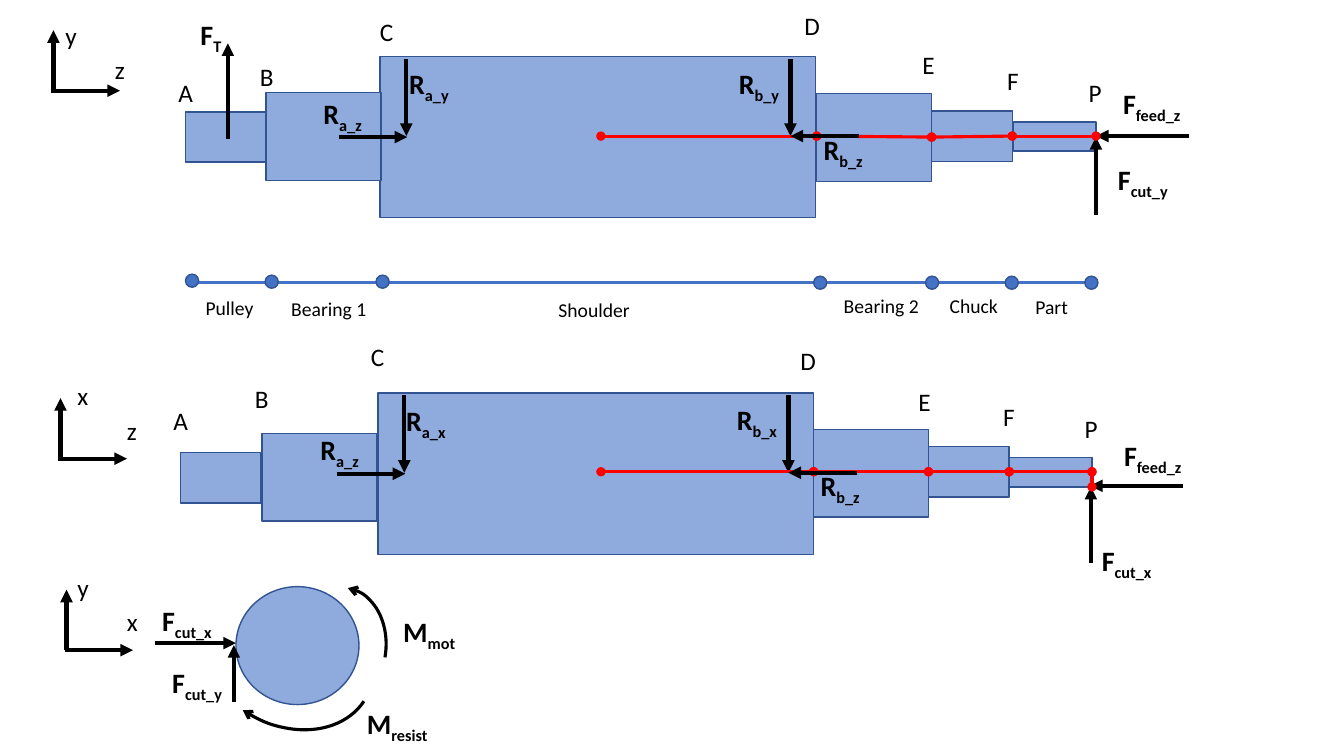
from lxml.etree import SubElement
from pptx import Presentation
from pptx.dml.color import RGBColor
from pptx.enum.shapes import MSO_CONNECTOR, MSO_SHAPE
from pptx.oxml.ns import qn
from pptx.util import Inches, Pt

STEEL = RGBColor(0x8F, 0xAA, 0xDC)
EDGE = RGBColor(0x32, 0x54, 0x91)
BLUE = RGBColor(0x44, 0x72, 0xC4)
RED = RGBColor(0xFF, 0, 0)
BLACK = RGBColor(0, 0, 0)

SECTION_SIZES = [(4.32, 1.6), (1.14, 0.87), (1.14, 0.87), (0.8, 0.5), (0.8, 0.5), (0.82, 0.29)]
LETTER_WIDTHS = {"D": 0.36, "E": 0.32, "F": 0.32, "P": 0.33, "x": 0.31, "y": 0.32, "z": 0.3}

VIEWS = [
    {
        "sections": [(3.77, 0.56), (2.64, 0.92), (8.1, 0.93), (1.84, 1.11), (9.24, 1.1), (10.05, 1.21)],
        "stations": [("A", 1.67, 0.72), ("B", 2.48, 0.56), ("C", 3.67, 0.11), ("D", 7.88, 0.05),
                     ("E", 9.05, 0.44), ("F", 9.89, 0.6), ("P", 10.7, 0.72)],
        "forces": [(3.36, 1.36, 4.04, 1.36), (2.26, 1.38, 2.26, 0.43), (11.79, 1.35, 10.87, 1.35),
                   (10.87, 2.13, 10.87, 1.36), (4.03, 0.59, 4.03, 1.35), (7.84, 0.59, 7.84, 1.35)],
        "flow": [(5.96, 1.35), (8.1, 1.35), (9.24, 1.36), (10.04, 1.35), (10.87, 1.35)],
        "thrust": (8.52, 1.35, 7.84, 1.35),
    },
    {
        "sections": [(3.75, 3.9), (2.6, 4.3), (8.07, 4.26), (1.79, 4.49), (9.21, 4.43), (10.01, 4.54)],
        "stations": [("A", 1.62, 3.97), ("B", 2.43, 3.75), ("C", 3.58, 3.34), ("D", 7.84, 3.38),
                     ("E", 9.01, 3.78), ("F", 9.85, 3.93), ("P", 10.66, 4.05)],
        "forces": [(3.34, 4.7, 4.02, 4.7), (11.73, 4.82, 10.81, 4.82), (10.82, 5.59, 10.82, 4.83),
                   (4.01, 3.92, 4.01, 4.69), (7.82, 3.92, 7.82, 4.69)],
        "flow": [(5.96, 4.68), (8.07, 4.68), (9.21, 4.68), (10.01, 4.68), (10.83, 4.68), (10.83, 4.83)],
        "thrust": (8.5, 4.69, 7.82, 4.69),
    },
]

FORCE_NAMES = [
    ("R", "b_y", 7.23, 0.61), ("F", "T", 1.89, 0.12), ("R", "a_y", 3.96, 0.61),
    ("R", "a_z", 3.11, 0.91), ("R", "b_z", 8.07, 1.27), ("F", "feed_z", 11.04, 0.81),
    ("F", "cut_y", 10.99, 1.56), ("R", "b_x", 7.21, 3.94), ("R", "a_x", 3.93, 3.95),
    ("R", "a_z", 3.08, 4.24), ("R", "b_z", 8.04, 4.6), ("F", "feed_z", 11.05, 4.3),
    ("F", "cut_x", 10.83, 5.34), ("F", "cut_x", 1.51, 5.94), ("F", "cut_y", 1.61, 6.55),
    ("M", "mot", 3.9, 6.05), ("M", "resist", 3.54, 6.96),
]

SCALE_LINE = (1.86, 2.8, 10.88, 2.8)
SCALE_DOTS = [(1.84, 2.72), (2.63, 2.73), (3.73, 2.73), (8.07, 2.74), (9.18, 2.74), (9.97, 2.74), (10.76, 2.74)]
PART_NAMES = [("Pulley", 1.94, 2.89, 0.74), ("Bearing 1", 2.79, 2.9, 1.03), ("Shoulder", 5.44, 2.91, 1.03),
              ("Bearing 2", 8.27, 2.87, 1.03), ("Chuck", 9.32, 2.87, 0.69), ("Part", 10.17, 2.88, 0.69)]

AXES = [
    ((0.53, 0.9), ("y", 0.55, 0.15), ("z", 1.04, 0.49)),
    ((0.6, 4.55), ("x", 0.67, 3.72), ("z", 1.16, 4.07)),
    ((0.66, 6.45), ("y", 0.67, 5.63), ("x", 1.16, 5.97)),
]

END_VIEW = (2.34, 5.82, 1.22, 1.17)
END_FORCES = [(2.32, 6.96, 2.32, 6.4), (1.54, 6.38, 2.34, 6.38)]
MOMENTS = [((2.08, 5.48, 1.48, 1.9), 303.7, ("flipH", "flipV")),
           ((2.73, 5.96, 1.23, 0.96), 279.8, ("flipV",))]

prs = Presentation()
prs.slide_width, prs.slide_height = Inches(13.33), Inches(7.5)
slide = prs.slides.add_slide(prs.slide_layouts[6])


def add_solid(kind, box, fill):
    solid = slide.shapes.add_shape(kind, *map(Inches, box))
    solid.shadow.inherit = False
    solid.fill.solid()
    solid.fill.fore_color.rgb = fill
    solid.line.color.rgb = EDGE
    solid.line.width = Pt(1)


def style_stroke(stroke, color, width, **ends):
    stroke.line.color.rgb = color
    stroke.line.width = Pt(width)
    for end, kind in ends.items():
        SubElement(stroke.line._get_or_add_ln(), qn(f"a:{end}"), type=kind)


def add_line(points, color=BLACK, width=3, **ends):
    line = slide.shapes.add_connector(MSO_CONNECTOR.STRAIGHT, *map(Inches, points))
    style_stroke(line, color, width, **ends)
    SubElement(line._element.spPr, qn("a:effectLst"))


def add_arrow(points):
    add_line(points, tailEnd="triangle")


def add_label(text, box, size, subscript=None, wrap=True):
    frame = slide.shapes.add_textbox(*map(Inches, box)).text_frame
    frame.word_wrap = wrap
    paragraph = frame.paragraphs[0]
    paragraph.text = text
    if subscript:
        lower = paragraph.add_run()
        lower.text = subscript
        lower.font._element.set("baseline", "-25000")
    for run in paragraph.runs:
        run.font.name = "Calibri"
        run.font.size = Pt(size)
        run.font.bold = bool(subscript)
        run.font.color.rgb = BLACK


def add_letter(letter, left, top):
    add_label(letter, (left, top, LETTER_WIDTHS.get(letter, 0.35), 0.4), 18, wrap=False)


for view in VIEWS:
    for corner, size in zip(view["sections"], SECTION_SIZES):
        add_solid(MSO_SHAPE.RECTANGLE, corner + size, STEEL)
    for station in view["stations"]:
        add_letter(*station)
    for force in view["forces"]:
        add_arrow(force)
    for start, end in zip(view["flow"], view["flow"][1:]):
        add_line(start + end, RED, 2.25, headEnd="oval", tailEnd="oval")
    add_arrow(view["thrust"])

add_line(SCALE_LINE, BLUE, 2.25)
for dot in SCALE_DOTS:
    add_solid(MSO_SHAPE.OVAL, dot + (0.13, 0.13), BLUE)
for name, left, top, width in PART_NAMES:
    add_label(name, (left, top, width, 0.34), 14)

for (x, y), up_name, right_name in AXES:
    add_arrow((x, y, x, y - 0.6))
    add_arrow((x - 0.02, y, x + 0.66, y))
    add_letter(*up_name)
    add_letter(*right_name)

add_solid(MSO_SHAPE.OVAL, END_VIEW, STEEL)
for force in END_FORCES:
    add_arrow(force)
for box, angle, flips in MOMENTS:
    moment = slide.shapes.add_shape(MSO_SHAPE.ARC, *map(Inches, box))
    moment.shadow.inherit = False
    moment.fill.background()
    moment.rotation = angle
    for flip in flips:
        moment._element.spPr.xfrm.set(flip, "1")
    style_stroke(moment, BLACK, 2.25, tailEnd="arrow")

for symbol, subscript, left, top in FORCE_NAMES:
    add_label(symbol, (left, top, 1.04, 0.44), 20, subscript)

prs.save("out.pptx")
